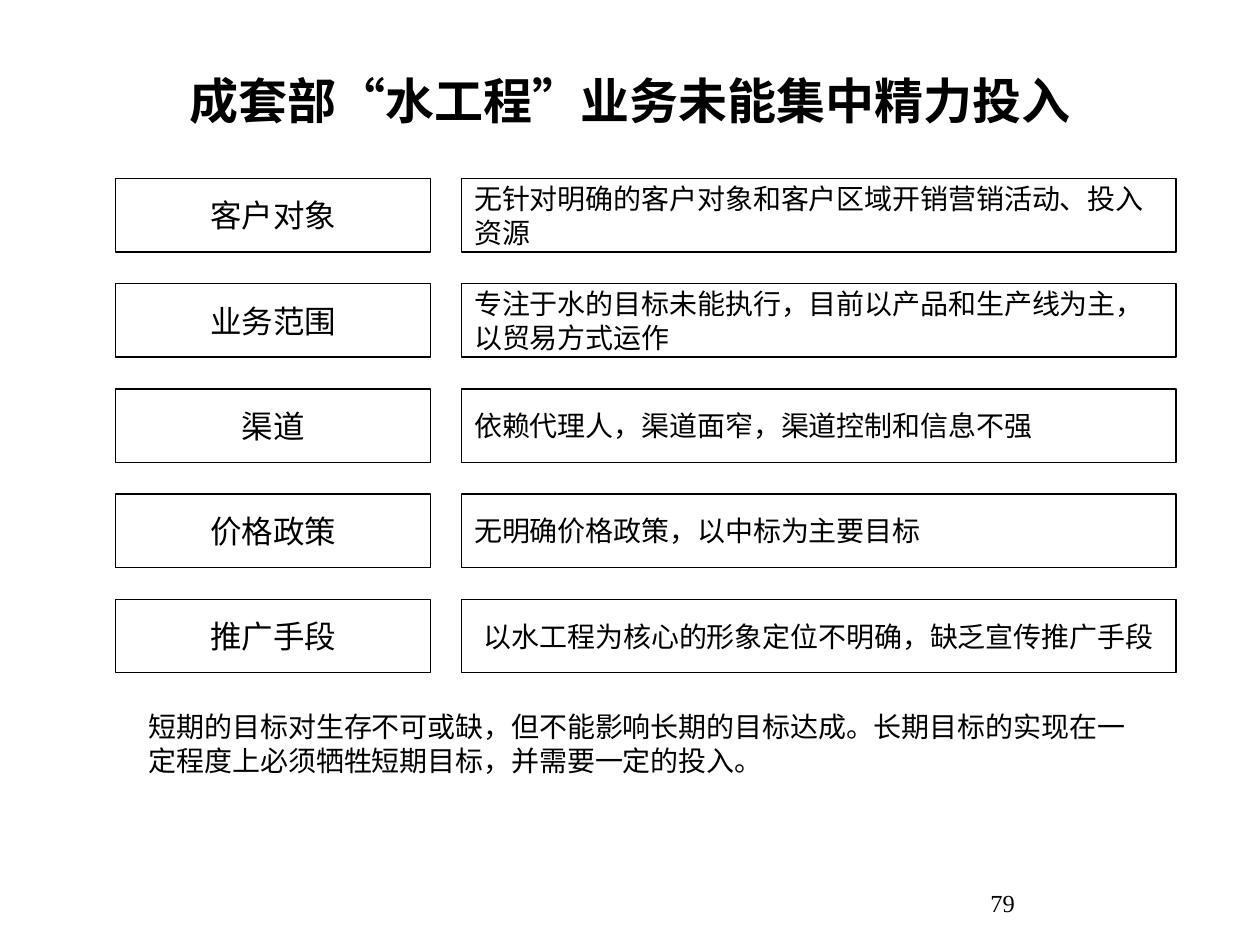
from dataclasses import dataclass

from pptx import Presentation
from pptx.dml.color import RGBColor
from pptx.enum.shapes import MSO_SHAPE
from pptx.enum.text import MSO_ANCHOR, MSO_AUTO_SIZE, PP_ALIGN
from pptx.util import Cm, Pt

RECTANGLE = MSO_SHAPE.RECTANGLE
TOP, MIDDLE = MSO_ANCHOR.TOP, MSO_ANCHOR.MIDDLE
NO_FIT = MSO_AUTO_SIZE.NONE
LEFT, CENTER = PP_ALIGN.LEFT, PP_ALIGN.CENTER
TITLE_ONLY = 5


@dataclass(frozen=True)
class Theme:
    font: str = "Times New Roman"
    ink: RGBColor = RGBColor(0, 0, 0)
    title: Pt = Pt(28)
    topic: Pt = Pt(18)
    body: Pt = Pt(16)
    page: Pt = Pt(14)
    border: Pt = Pt(0.75)


THEME = Theme()
FIRST_ROW, ROW_PITCH, ROW_HEIGHT = 3.6, 2.12, 1.48
TOPIC_LEFT, TOPIC_WIDTH = 2.33, 6.35
FINDING_LEFT, FINDING_WIDTH = 9.31, 14.4

ROWS = [
    ("客户对象", "无针对明确的客户对象和客户区域开销营销活动、投入资源", LEFT),
    ("业务范围", "专注于水的目标未能执行，目前以产品和生产线为主，以贸易方式运作", LEFT),
    ("渠道", "依赖代理人，渠道面窄，渠道控制和信息不强", LEFT),
    ("价格政策", "无明确价格政策，以中标为主要目标", LEFT),
    ("推广手段", "以水工程为核心的形象定位不明确，缺乏宣传推广手段", CENTER),
]
CONCLUSION = (
    "短期的目标对生存不可或缺，但不能影响长期的目标达成。"
    "长期目标的实现在一定程度上必须牺牲短期目标，并需要一定的投入。"
)


def apply_format(target, values):
    for attribute, value in values.items():
        setattr(target, attribute, value)


def write(holder, wording, size, align=LEFT, anchor=MIDDLE, bold=False, wrap=True):
    frame = holder.text_frame
    frame.text = wording
    apply_format(frame, {
        "auto_size": NO_FIT, "word_wrap": wrap, "vertical_anchor": anchor,
    })
    paragraph = frame.paragraphs[0]
    paragraph.alignment = align
    font = paragraph.runs[0].font
    apply_format(font, {"name": THEME.font, "size": size, "bold": bold})
    font.color.rgb = THEME.ink


def add_title(slide, wording):
    title = slide.shapes.title
    apply_format(title, {
        "left": Cm(1.9), "top": Cm(0.43), "width": Cm(21.6), "height": Cm(3.18),
    })
    write(title, wording, THEME.title, CENTER, bold=True)


def add_box(slide, left, top, width, wording, size, align, wrap=True):
    box = slide.shapes.add_shape(
        RECTANGLE, Cm(left), Cm(top), Cm(width), Cm(ROW_HEIGHT))
    box.shadow.inherit = False
    box.fill.background()
    box.line.color.rgb = THEME.ink
    box.line.width = THEME.border
    write(box, wording, size, align, wrap=wrap)


def add_note(slide, left, top, width, height, wording, size, align=LEFT):
    note = slide.shapes.add_textbox(Cm(left), Cm(top), Cm(width), Cm(height))
    write(note, wording, size, align, TOP)


def main():
    deck = Presentation()
    deck.slide_width, deck.slide_height = Cm(25.4), Cm(19.05)
    slide = deck.slides.add_slide(deck.slide_layouts[TITLE_ONLY])
    add_title(slide, "成套部“水工程”业务未能集中精力投入")
    for index, (topic, finding, align) in enumerate(ROWS):
        top = FIRST_ROW + index * ROW_PITCH
        add_box(slide, TOPIC_LEFT, top, TOPIC_WIDTH, topic, THEME.topic, CENTER, wrap=False)
        add_box(slide, FINDING_LEFT, top, FINDING_WIDTH, finding, THEME.body, align)
    add_note(slide, 2.75, 14.18, 20.75, 1.63, CONCLUSION, THEME.body)
    add_note(slide, 16.3, 17.78, 7.83, 0.64, "79", THEME.page, CENTER)
    deck.save("out.pptx")


if __name__ == "__main__":
    main()
